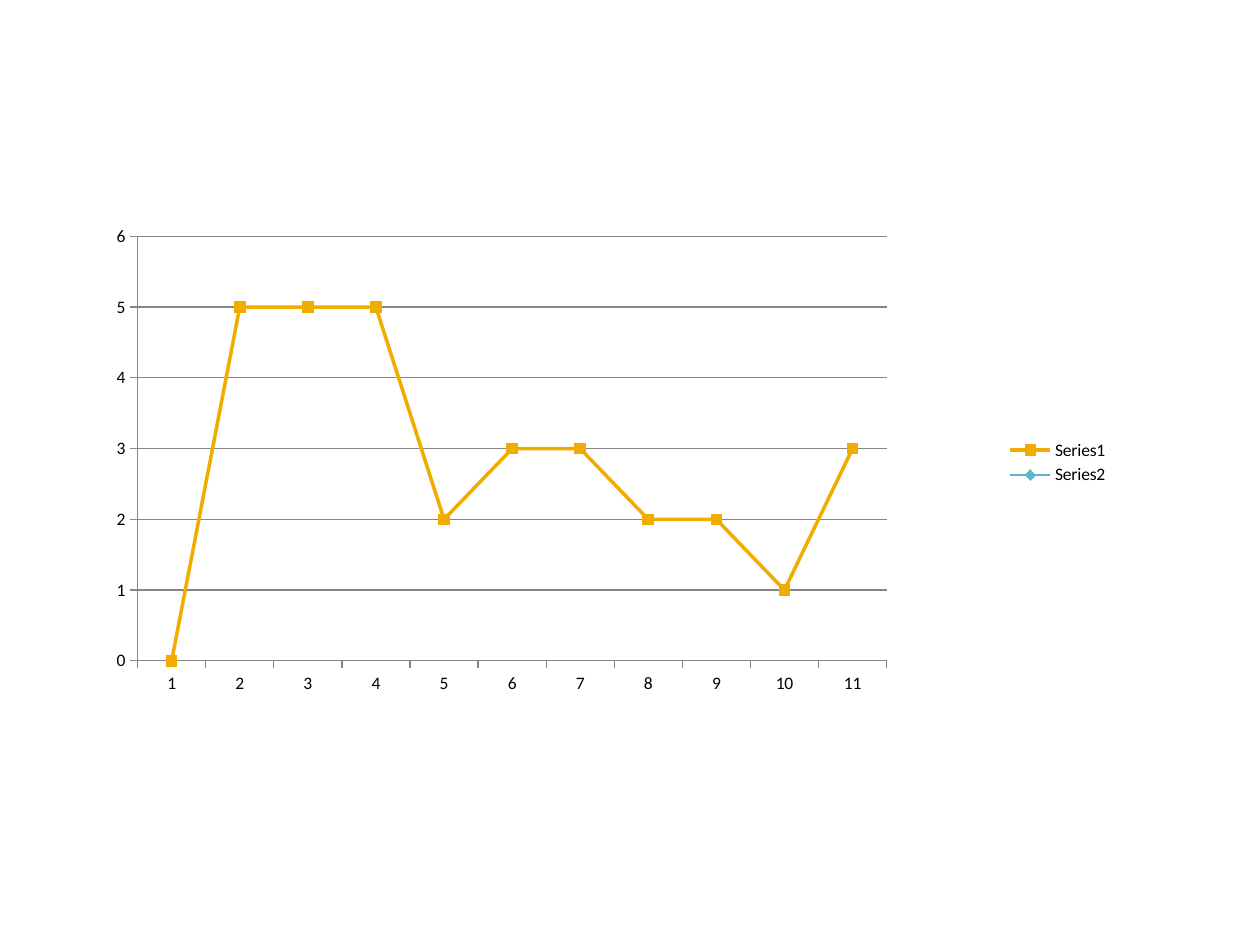
from lxml import etree
from pptx import Presentation
from pptx import util as u
from pptx.chart import data as cd
from pptx.dml.color import RGBColor
from pptx.enum import chart as ch
from pptx.oxml import ns

GOLD = RGBColor(0xF0, 0xAD, 0x00)
TEAL = RGBColor(0x60, 0xB5, 0xCC)
GREY = RGBColor(0x86, 0x86, 0x86)
BLACK = RGBColor(0, 0, 0)

WIDE, HIGH = u.Inches(10), u.Inches(7.5)
BOX = (0.062, 0.208, 0.828, 0.563)  # shares of the slide
PLOT = {"x": 0.057, "y": 0.075, "w": 0.718, "h": 0.798}  # shares of the chart

MARK = ch.XL_MARKER_STYLE
ROWS = [  # name, values, colour, line width, marker, marker size
    ("Series1", [0, 5, 5, 5, 2, 3, 3, 2, 2, 1, 3], GOLD, 2, MARK.SQUARE, 6),
    ("Series2", [None] * 11, TEAL, 1.25, MARK.DIAMOND, 6),
]


def set_plot(chart, shares):
    """Fix the inner plot area at the given shares of the chart."""
    area = chart._chartSpace.find(".//" + ns.qn("c:plotArea"))
    for old in area.findall(ns.qn("c:layout")):
        area.remove(old)
    lay = etree.Element(ns.qn("c:layout"))
    area.insert(0, lay)
    man = etree.SubElement(lay, ns.qn("c:manualLayout"))
    parts = [("layoutTarget", "inner"), ("xMode", "edge"), ("yMode", "edge")]
    for tag, val in parts + list(shares.items()):
        etree.SubElement(man, ns.qn("c:" + tag)).set("val", str(val))


def style_line(line, tint, width):
    line.color.rgb = tint
    line.width = u.Pt(width)


def style_axis(axis, grid):
    axis.major_tick_mark = ch.XL_TICK_MARK.OUTSIDE
    axis.minor_tick_mark = ch.XL_TICK_MARK.NONE
    axis.has_major_gridlines = grid
    style_line(axis.format.line, GREY, 0.75)
    if grid:
        style_line(axis.major_gridlines.format.line, GREY, 0.75)


def style_row(row, tint, width, mark, size):
    row.smooth = False
    style_line(row.format.line, tint, width)
    row.marker.style = mark
    row.marker.size = size
    row.marker.format.fill.solid()
    row.marker.format.fill.fore_color.rgb = tint
    row.marker.format.line.color.rgb = tint


def add_graph(slide, box):
    data = cd.CategoryChartData()
    data.categories = [str(n) for n in range(1, 12)]
    for name, vals, *_ in ROWS:
        data.add_series(name, vals)
    x, y, w, h = box
    chart = slide.shapes.add_chart(
        ch.XL_CHART_TYPE.LINE_MARKERS,
        int(x * WIDE), int(y * HIGH), int(w * WIDE), int(h * HIGH), data).chart

    chart.has_title = False
    chart.font.name = "Calibri"
    chart.font.size = u.Pt(10)
    chart.font.color.rgb = BLACK
    chart.has_legend = True
    chart.legend.position = ch.XL_LEGEND_POSITION.RIGHT
    chart.legend.include_in_layout = False
    chart.plots[0].vary_by_categories = False
    style_axis(chart.category_axis, False)
    style_axis(chart.value_axis, True)
    chart.value_axis.minimum_scale = 0
    chart.value_axis.maximum_scale = 6
    chart.value_axis.major_unit = 1
    for row, (_, _, *look) in zip(chart.plots[0].series, ROWS):
        style_row(row, *look)
    set_plot(chart, PLOT)


def main():
    deck = Presentation()
    deck.slide_width, deck.slide_height = WIDE, HIGH
    slide = deck.slides.add_slide(deck.slide_layouts[6])
    add_graph(slide, BOX)
    deck.save("out.pptx")


if __name__ == "__main__":
    main()
